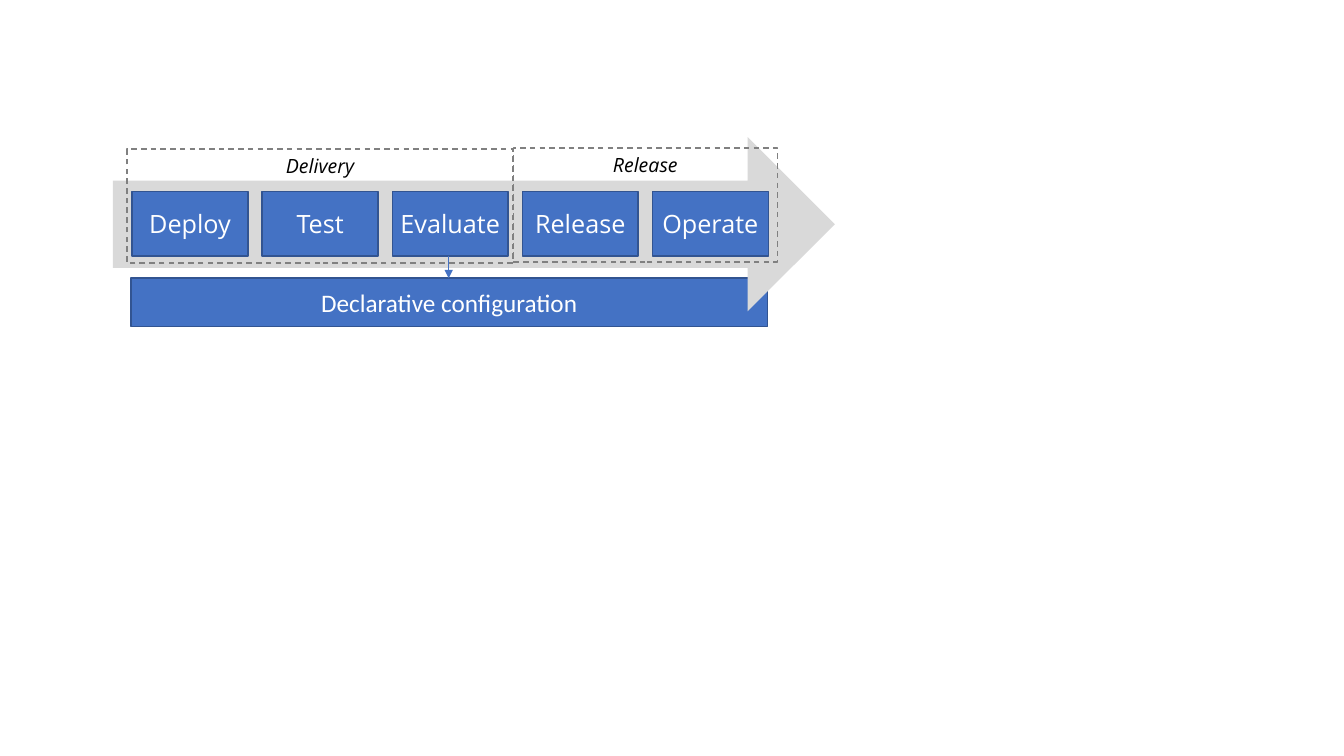
from lxml import etree
from pptx import Presentation
from pptx.dml.color import RGBColor
from pptx.enum.dml import MSO_LINE
from pptx.enum.shapes import MSO_CONNECTOR, MSO_SHAPE
from pptx.enum.text import MSO_ANCHOR, PP_ALIGN
from pptx.oxml.ns import qn
from pptx.util import Pt

PX = 9144
RECT, ARROW = MSO_SHAPE.RECTANGLE, MSO_SHAPE.RIGHT_ARROW
STRAIGHT, DASH = MSO_CONNECTOR.STRAIGHT, MSO_LINE.DASH
TOP, MIDDLE, CENTER = MSO_ANCHOR.TOP, MSO_ANCHOR.MIDDLE, PP_ALIGN.CENTER
BLUE = RGBColor(0x44, 0x72, 0xC4)
NAVY = RGBColor(0x32, 0x54, 0x91)
SILVER = RGBColor(0xD9, 0xD9, 0xD9)
GRAY = RGBColor(0x80, 0x80, 0x80)
WHITE = RGBColor(0xFF, 0xFF, 0xFF)
BLACK = RGBColor(0x00, 0x00, 0x00)
STEPS = ["Deploy", "Test", "Evaluate", "Release", "Operate"]
STEP_LEFT, STEP_PITCH = 131, 129


class Canvas:
    """Draws the pipeline's elements on one slide, in px of 1/100 inch."""

    def __init__(self, slide, font="Open Sans"):
        self.shapes = slide.shapes
        self.font = font

    def shape(self, kind, area, fill=None, line=None):
        shape = self.shapes.add_shape(kind, *(n * PX for n in area))
        shape.shadow.inherit = False
        if fill is None:
            shape.fill.background()
        else:
            shape.fill.solid()
            shape.fill.fore_color.rgb = fill
        if line is None:
            shape.line.fill.background()
        else:
            shape.line.color.rgb = line
            shape.line.width = Pt(1)
        return shape

    def label(self, shape, text, size, color, anchor, font=None, italic=False):
        frame = shape.text_frame
        frame.word_wrap = True
        frame.vertical_anchor = anchor
        par = frame.paragraphs[0]
        par.text = text
        par.alignment = CENTER
        par.font.name = font or self.font
        par.font.size = Pt(size)
        par.font.color.rgb = color
        par.font.italic = italic
        return frame

    def bar(self, area, text, font):
        self.label(self.shape(RECT, area, BLUE, NAVY), text, 18, WHITE, MIDDLE, font)

    def step(self, area, text):
        box = self.shape(RECT, area, BLUE, NAVY)
        frame = self.label(box, text, 18, WHITE, MIDDLE)
        frame.margin_left = frame.margin_right = 4 * PX
        frame.margin_top = frame.margin_bottom = 4 * PX

    def phase(self, area, text):
        box = self.shape(RECT, area, line=GRAY)
        box.line.dash_style = DASH
        self.label(box, text, 14, BLACK, TOP, italic=True)

    def link(self, *ends):
        link = self.shapes.add_connector(STRAIGHT, *(n * PX for n in ends))
        link.line.color.rgb = BLUE
        link.line.width = Pt(0.5)
        line = link.line._get_or_add_ln()
        etree.SubElement(line, qn("a:tailEnd"), type="triangle")
        etree.SubElement(link._element.spPr, qn("a:effectLst"))


def main():
    deck = Presentation()
    deck.slide_width, deck.slide_height = 1333 * PX, 750 * PX
    canvas = Canvas(deck.slides.add_slide(deck.slide_layouts[6]))
    canvas.bar((130, 276, 631, 48), "Declarative configuration", "Calibri")
    canvas.shape(ARROW, (112, 136, 716, 173), SILVER)
    for i, name in enumerate(STEPS):
        canvas.step((STEP_LEFT + i * STEP_PITCH, 190, 115, 64), name)
    canvas.link(445, 254, 445, 276)
    canvas.phase((126, 148, 383, 113), "Delivery")
    canvas.phase((509, 147, 262, 113), "Release")
    deck.save("out.pptx")


if __name__ == "__main__":
    main()
